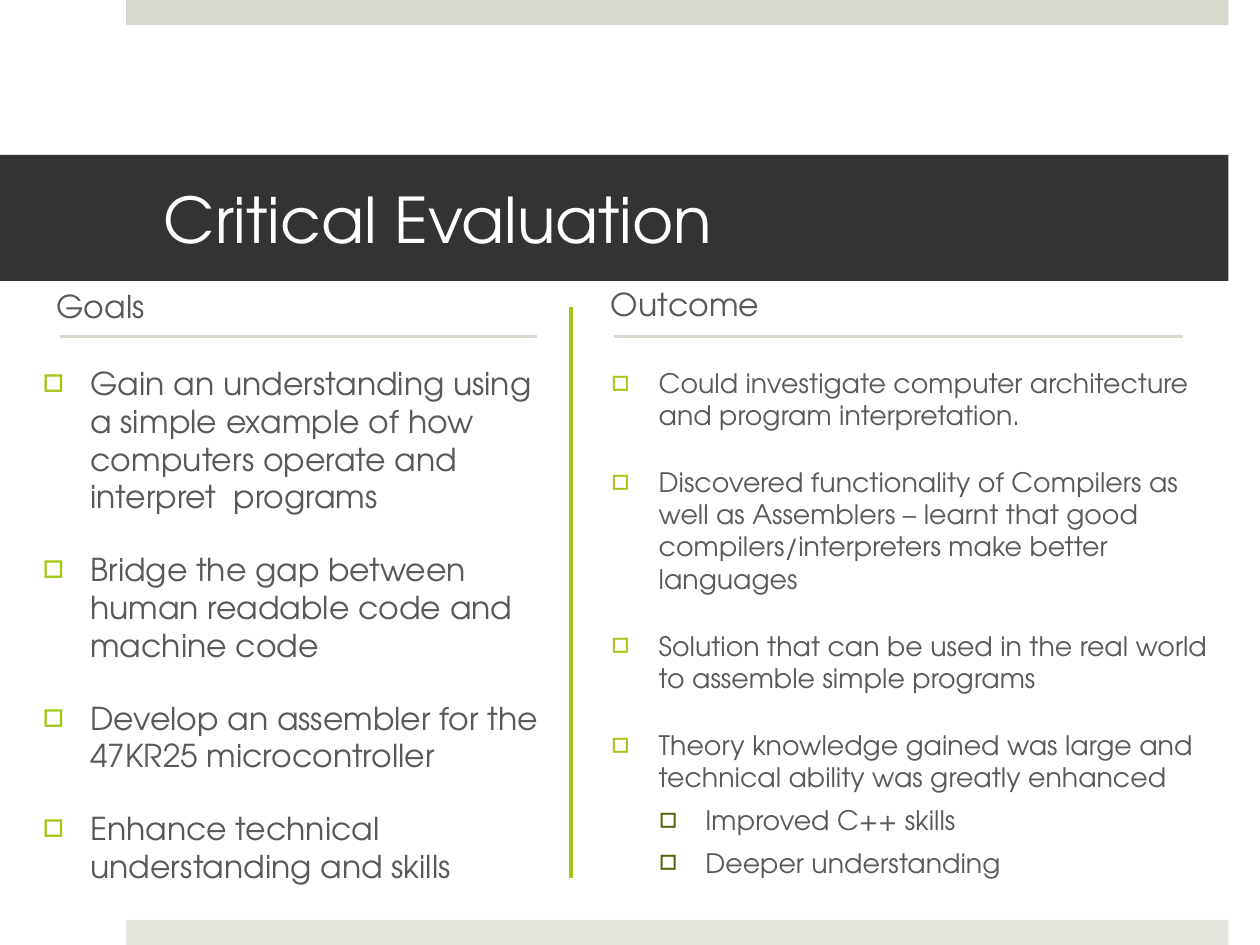
from lxml import etree
from pptx import Presentation
from pptx.dml.color import RGBColor
from pptx.enum.shapes import MSO_CONNECTOR, MSO_SHAPE
from pptx.enum.text import MSO_ANCHOR, PP_ALIGN
from pptx.oxml.ns import qn
from pptx.util import Pt

RECT = MSO_SHAPE.RECTANGLE
STRAIGHT = MSO_CONNECTOR.STRAIGHT
TOP, MIDDLE = MSO_ANCHOR.TOP, MSO_ANCHOR.MIDDLE
LEFT = PP_ALIGN.LEFT

SAGE = RGBColor(0xD6, 0xD9, 0xCD)
PALE_SAGE = RGBColor(0xE4, 0xE6, 0xDE)
CHARCOAL = RGBColor(0x33, 0x33, 0x33)
WHITE = RGBColor(0xFF, 0xFF, 0xFF)
GREY = RGBColor(0x59, 0x59, 0x59)
LIME = RGBColor(0xA2, 0xC8, 0x16)
OLIVE = RGBColor(0x51, 0x64, 0x0B)

FONT = "TeX Gyre Adventor"
EMU_PER_PX = 9144  # 100 px to the inch

# Per list level: left margin, hanging indent, space before, bullet colour
LEVELS = [(38, 38, 20, LIME), (75, 37, 6, OLIVE)]

GOALS = [
    (0, "Gain an understanding using a simple example of how computers "
        "operate and interpret  programs"),
    (0, "Bridge the gap between human readable code and machine code"),
    (0, "Develop an assembler for the 47KR25 microcontroller"),
    (0, "Enhance technical understanding and skills"),
]
OUTCOMES = [
    (0, "Could investigate computer architecture and program interpretation."),
    (0, "Discovered functionality of Compilers as well as Assemblers – learnt "
        "that good compilers/interpreters make better languages"),
    (0, "Solution that can be used in the real world to assemble simple programs"),
    (0, "Theory knowledge gained was large and technical ability was greatly "
        "enhanced"),
    (1, "Improved C++ skills"),
    (1, "Deeper understanding"),
]


def px(n):
    return n * EMU_PER_PX


def write(p, text, *, size=18, color=GREY, before=0, margin=0, hanging=0,
          bullet=None):
    """Fill a paragraph; bullet is the colour of its square, if it has one."""
    p.alignment = LEFT
    p.space_before = Pt(before)
    r = p.add_run()
    r.text = text
    r.font.name = FONT
    r.font.size = Pt(size)
    r.font.color.rgb = color
    pPr = p._p.get_or_add_pPr()
    pPr.set("marL", str(px(margin)))
    pPr.set("indent", str(px(-hanging)))
    if bullet is not None:
        clr = etree.SubElement(pPr, qn("a:buClr"))
        etree.SubElement(clr, qn("a:srgbClr"), val=str(bullet))
        etree.SubElement(pPr, qn("a:buFont"), typeface=FONT)
        etree.SubElement(pPr, qn("a:buChar"), char="□")


class Deck:
    """Holds the presentation and its current slide, measured in px."""

    def __init__(self, width, height):
        self.prs = Presentation()
        self.prs.slide_width, self.prs.slide_height = px(width), px(height)
        self.s = self.prs.slides.add_slide(self.prs.slide_layouts[6])

    def band(self, x, y, w, h, color):
        sp = self.s.shapes.add_shape(RECT, px(x), px(y), px(w), px(h))
        sp.shadow.inherit = False
        sp.fill.solid()
        sp.fill.fore_color.rgb = color
        sp.line.fill.background()
        return sp

    def title(self, x, y, w, h, text):
        tf = self.band(x, y, w, h, CHARCOAL).text_frame
        tf.word_wrap = True
        tf.vertical_anchor = MIDDLE
        tf.margin_left, tf.margin_right = px(130), px(30)
        write(tf.paragraphs[0], text, size=36, color=WHITE)

    def text_box(self, x, y, w, h):
        tf = self.s.shapes.add_textbox(px(x), px(y), px(w), px(h)).text_frame
        tf.word_wrap = True
        tf.vertical_anchor = TOP
        return tf

    def heading(self, x, y, w, h, text, margin=0):
        tf = self.text_box(x, y, w, h)
        write(tf.paragraphs[0], text, before=20, margin=margin)

    def bullets(self, x, y, w, h, items, size):
        tf = self.text_box(x, y, w, h)
        for i, (level, text) in enumerate(items):
            p = tf.add_paragraph() if i else tf.paragraphs[0]
            p.level = level
            margin, hanging, before, color = LEVELS[level]
            write(p, text, size=size, before=before, margin=margin,
                  hanging=hanging, bullet=color)

    def line(self, x1, y1, x2, y2, color):
        c = self.s.shapes.add_connector(STRAIGHT, px(x1), px(y1), px(x2), px(y2))
        c.line.color.rgb = color
        c.line.width = Pt(2)
        etree.SubElement(c._element.spPr, qn("a:effectLst"))


def main():
    deck = Deck(1000, 750)
    deck.band(100, 0, 875, 20, SAGE)
    deck.band(100, 730, 875, 20, PALE_SAGE)
    deck.title(0, 123, 975, 100, "Critical Evaluation")

    deck.bullets(24, 284, 414, 403, GOALS, size=18)
    deck.bullets(475, 286, 500, 421, OUTCOMES, size=15.3)
    deck.heading(0, 223, 390, 96, "Goals", margin=35)
    deck.heading(475, 221, 525, 96, "Outcome")

    deck.line(453, 244, 453, 697, LIME)
    for left, right in ((48, 426), (487, 939)):
        deck.line(left, 267, right, 267, SAGE)
    deck.prs.save("out.pptx")


if __name__ == "__main__":
    main()
